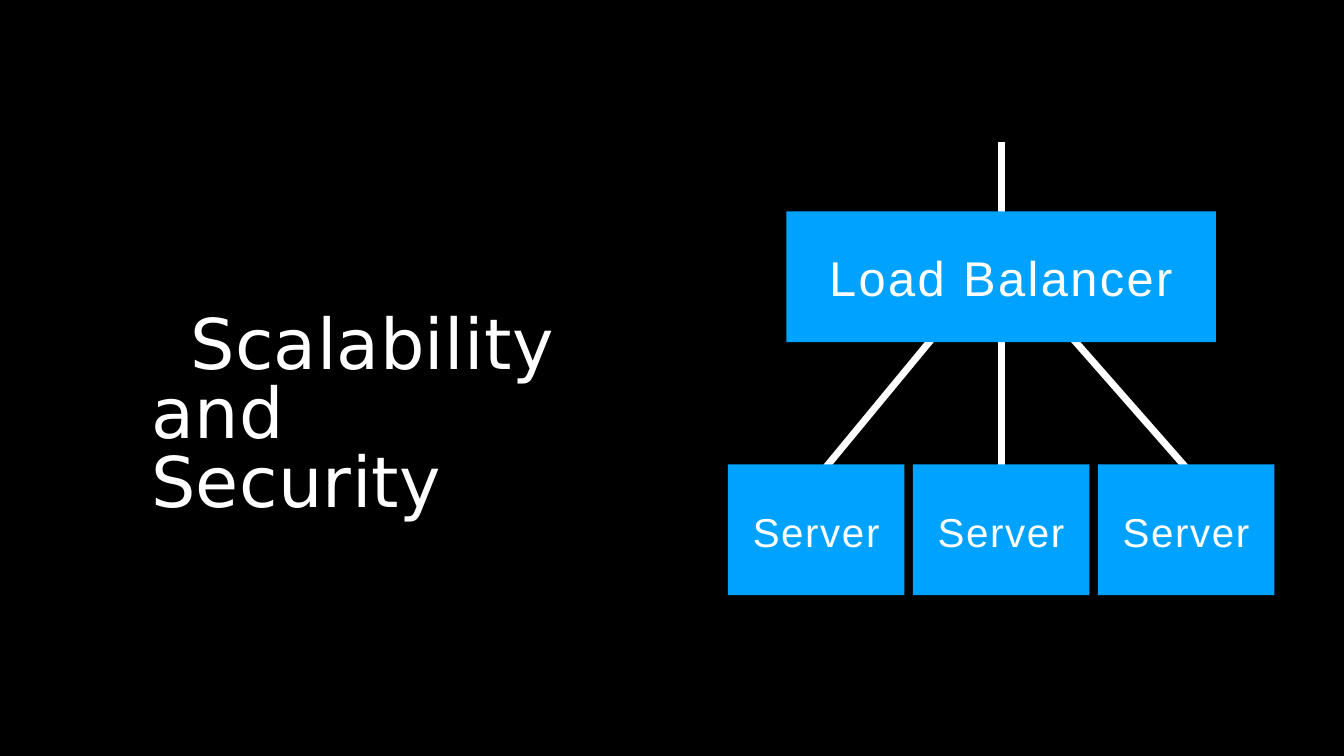
import pptx
import pptx.dml.color
import pptx.enum.shapes
import pptx.enum.text
import pptx.oxml.ns
import pptx.util
from lxml import etree

BLACK, WHITE, BLUE = "000000", "FFFFFF", "00A2FF"
ALIGN = pptx.enum.text.PP_ALIGN
ANCHOR = pptx.enum.text.MSO_ANCHOR


def colour(code):
    return pptx.dml.color.RGBColor.from_string(code)


def write(frame, text, size, font="Arial", align=ALIGN.CENTER, anchor=ANCHOR.MIDDLE,
          spacing=0, line_height=1.0, indent=0, inset_top=0):
    """Fill a text frame; spacing is in points, indent and inset in inches."""
    frame.word_wrap = True
    frame.auto_size = pptx.enum.text.MSO_AUTO_SIZE.NONE
    frame.vertical_anchor = anchor
    frame.margin_left = frame.margin_right = frame.margin_bottom = 0
    frame.margin_top = pptx.util.Inches(inset_top)
    paragraph = frame.paragraphs[0]
    paragraph.alignment = align
    paragraph.line_spacing = line_height
    paragraph.space_before = pptx.util.Pt(0)
    if indent:
        paragraph._p.get_or_add_pPr().set("indent", str(pptx.util.Inches(indent)))
    run = paragraph.add_run()
    run.text = text
    run.font.name = font
    run.font.size = pptx.util.Pt(size)
    run.font.color.rgb = colour(WHITE)
    run._r.get_or_add_rPr().set("spc", str(round(spacing * 100)))


class Diagram:
    """Places elements by percentages of the slide's width and height."""

    def __init__(self, deck):
        self.width, self.height = deck.slide_width, deck.slide_height
        self.slide = deck.slides.add_slide(deck.slide_layouts[5])
        self.slide.background.fill.solid()
        self.slide.background.fill.fore_color.rgb = colour(BLACK)

    def place(self, *shares):
        return [round(share * side / 100)
                for share, side in zip(shares, (self.width, self.height) * 2)]

    def heading(self, text, left, top, width, height, **style):
        title = self.slide.shapes.title
        title.left, title.top, title.width, title.height = self.place(left, top, width, height)
        write(title.text_frame, text, **style)

    def link(self, *ends):
        line = self.slide.shapes.add_connector(
            pptx.enum.shapes.MSO_CONNECTOR.STRAIGHT, *self.place(*ends))
        line.line.color.rgb = colour(WHITE)
        line.line.width = pptx.util.Pt(8.25)
        etree.SubElement(line._element.spPr, pptx.oxml.ns.qn("a:effectLst"))

    def box(self, text, left, top, width, height, **style):
        node = self.slide.shapes.add_shape(
            pptx.enum.shapes.MSO_SHAPE.RECTANGLE, *self.place(left, top, width, height))
        node.shadow.inherit = False
        node.fill.solid()
        node.fill.fore_color.rgb = colour(BLUE)
        node.line.fill.background()
        write(node.text_frame, text, **style)


def main():
    deck = pptx.Presentation()
    deck.slide_width = pptx.util.Inches(21.99)
    deck.slide_height = pptx.util.Inches(12.37)
    diagram = Diagram(deck)

    # Heading on the left
    diagram.heading("Scalability and Security", 11.25, 38.88, 31.4, 29.9,
                    size=82.5, font="DejaVu Sans", align=ALIGN.LEFT, anchor=ANCHOR.TOP,
                    spacing=0.5, line_height=0.82, indent=0.64, inset_top=0.34)

    # Links, behind the boxes they join
    centre = 74.49
    diagram.link(centre, 18.84, centre, 28.05)
    diagram.link(centre, 36.86, centre, 64.83)
    diagram.link(73, 36.94, 59.48, 66.05)
    diagram.link(75.94, 36.94, 90.04, 65.48)

    # Load balancer above a row of servers
    box_height = 17.3
    balancer_width = 31.97
    diagram.box("Load Balancer", centre - balancer_width / 2, 27.97, balancer_width, box_height,
                size=57.5, spacing=2.9)
    server_width, server_step = 13.14, 13.76
    for position in (-1, 0, 1):
        left = centre + position * server_step - server_width / 2
        diagram.box("Server", left, 61.44, server_width, box_height,
                    size=47.5, spacing=1.9, inset_top=0.06)

    deck.save("out.pptx")


if __name__ == "__main__":
    main()
